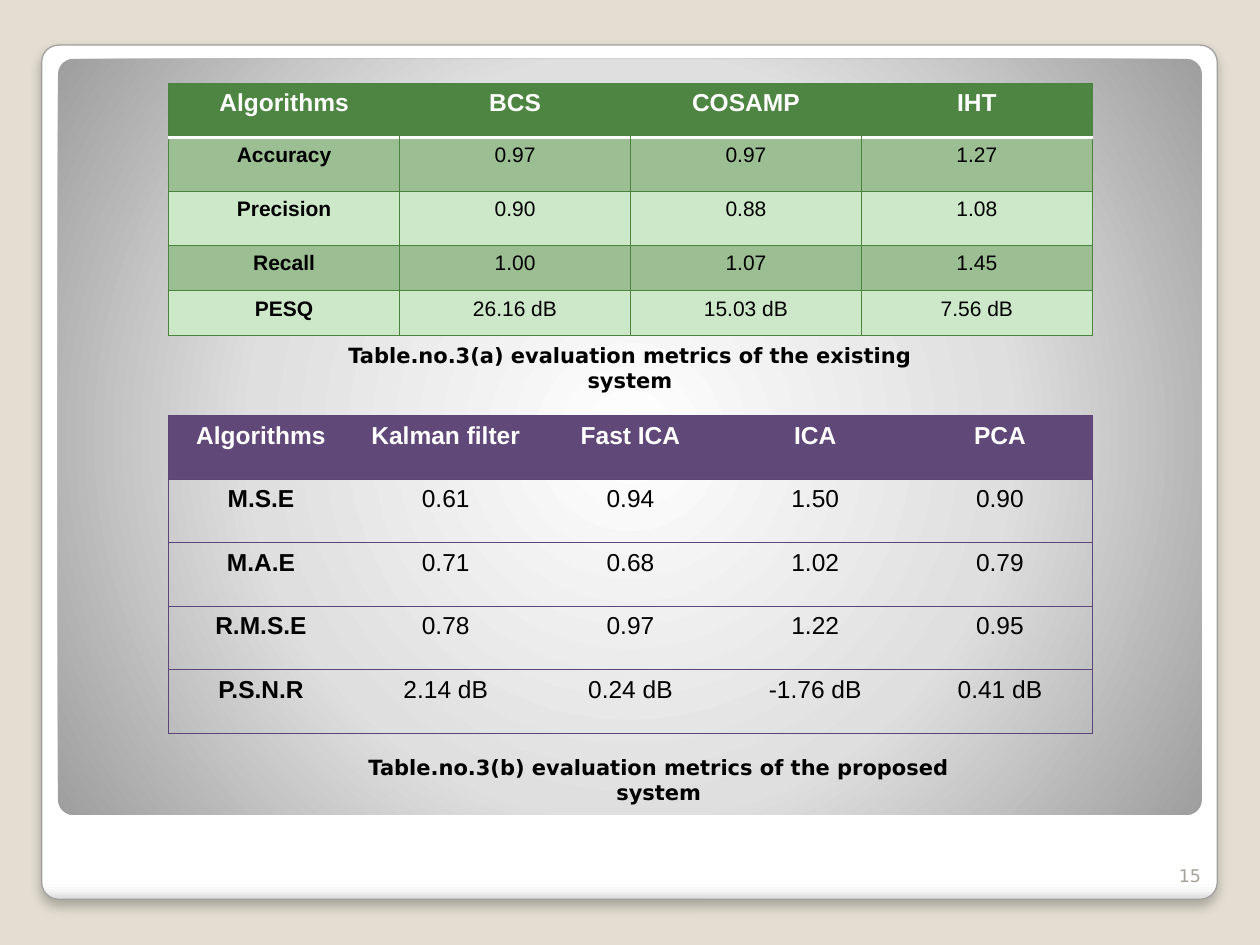
from dataclasses import dataclass
from lxml import etree
from pptx import Presentation
from pptx import util as u
from pptx.dml import color
from pptx.enum import shapes, text
from pptx.oxml import ns


@dataclass(frozen=True)
class Theme:
    back: str = "E3DED1"
    rim: str = "A2A0A0"
    page: str = "A5A298"
    ink: str = "000000"
    white: str = "FFFFFF"
    green: str = "4E8542"
    edge: str = "4B843F"
    dark: str = "9BBE93"
    light: str = "CDE7C9"
    plum: str = "604878"
    rule: str = "5E4577"
    sans: str = "Arial"
    wide: str = "DejaVu Sans"
    head: int = 14
    body: int = 12
    small: int = 10


T = Theme()
PLAIN = "{2D5ABB26-0587-4C30-8999-92F81FD0307C}"  # table style without grid


def rgb(code):
    return color.RGBColor.from_string(code)


def node(xml):
    space = ns.nsdecls("a")
    return etree.fromstring(xml.replace(">", f" {space}>", 1))


def write(frame, words, size, face, tint, bold=False, align=text.PP_ALIGN.CENTER):
    frame.text = words
    para = frame.paragraphs[0]
    para.alignment = align
    font = para.runs[0].font
    font.size, font.name, font.bold = u.Pt(size), face, bold
    font.color.rgb = rgb(tint)


def label(slide, box, words, size, tint, **look):
    item = slide.shapes.add_textbox(*map(u.Cm, box))
    item.text_frame.word_wrap = True
    write(item.text_frame, words, size, T.wide, tint, **look)
    return item


def panel(slide, box, stops, way):
    """Rounded panel filled with a gradient."""
    item = slide.shapes.add_shape(
        shapes.MSO_SHAPE.ROUNDED_RECTANGLE, *map(u.Cm, box))
    item.adjustments[0] = 0.02
    item.shadow.inherit = False
    item.line.fill.background()
    item.fill.background()
    marks = "".join(f'<a:gs pos="{pos * 1000}"><a:srgbClr val="{tint}"/></a:gs>'
                    for pos, tint in stops)
    props = item.element.spPr
    props.replace(props.find(ns.qn("a:noFill")), node(
        f'<a:gradFill rotWithShape="1"><a:gsLst>{marks}</a:gsLst>{way}</a:gradFill>'))
    return item


def frame(slide, box):
    """White card with a soft shadow, and the grey field inside it."""
    left, top, width, height = box
    card = panel(slide, box,
                 [(0, T.white), (98, T.white), (99, "F6F6F6"), (100, "D8D8D8")],
                 '<a:lin ang="5400000" scaled="0"/>')
    card.line.color.rgb = rgb(T.rim)
    card.line.width = u.Pt(0.75)
    card.element.spPr.find(ns.qn("a:effectLst")).append(node(
        f'<a:outerShdw blurRad="{u.Pt(6)}" dist="{u.Pt(4)}" dir="5400000">'
        f'<a:srgbClr val="{T.ink}"><a:alpha val="25000"/></a:srgbClr></a:outerShdw>'))
    panel(slide, (left + 0.33, top + 0.28, width - 0.64, 15.24),
          [(0, T.white), (55, "DFDFDF"), (100, "9E9E9E")],
          '<a:path path="circle">'
          '<a:fillToRect l="50000" t="50000" r="50000" b="50000"/></a:path>')


def border(cell, sides):
    """Draw the sides L, R, T, B, each given as (colour, points) or None."""
    props = cell._tc.get_or_add_tcPr()
    for side, line in zip("LRTB", sides):
        tint, width = line or (None, 0)
        fill = (f'<a:solidFill><a:srgbClr val="{tint}"/></a:solidFill>'
                if line else "<a:noFill/>")
        props.append(node(f'<a:ln{side} w="{u.Pt(width)}">{fill}</a:ln{side}>'))


def grid(slide, box, rows, heights, size, bands, sides):
    """Table with a header row; bands are row fills, sides gives cell borders."""
    left, top, width = box
    count = len(rows[0])
    item = slide.shapes.add_table(
        len(rows), count, *map(u.Cm, (left, top, width, sum(heights))))
    table = item.table
    table.first_row = table.horz_banding = False
    table._tbl.tblPr.find(ns.qn("a:tableStyleId")).text = PLAIN
    for col in table.columns:
        col.width = u.Cm(width / count)
    for r, (row, height) in enumerate(zip(rows, heights)):
        table.rows[r].height = u.Cm(height)
        for c, words in enumerate(row):
            cell = table.cell(r, c)
            write(cell.text_frame, words, size if r else T.head, T.sans,
                  T.ink if r else T.white, bold=r == 0 or c == 0)
            border(cell, sides(r, c, count - 1))
            if bands[r]:
                cell.fill.solid()
                cell.fill.fore_color.rgb = rgb(bands[r])
            else:
                cell.fill.background()


def known(slide, box):
    """Green table of the existing system, fully ruled."""
    rows = [
        ("Algorithms", "BCS", "COSAMP", "IHT"),
        ("Accuracy", "0.97", "0.97", "1.27"),
        ("Precision", "0.90", "0.88", "1.08"),
        ("Recall", "1.00", "1.07", "1.45"),
        ("PESQ", "26.16 dB", "15.03 dB", "7.56 dB"),
    ]
    line, gap = (T.edge, 0.75), (T.white, 2)

    def sides(r, c, last):
        return (line if r or c == 0 else None, line if r or c == last else None,
                gap if r == 1 else line, line if r else gap)

    grid(slide, box, rows, [1.09] * 3 + [0.91] * 2, T.body,
         [T.green] + [T.dark, T.light] * 2, sides)
    left, top, _ = box
    label(slide, (left + 2.95, top + 5.1, 12.7, 1.27),
          "Table.no.3(a) evaluation metrics of the existing system",
          T.body, T.ink, bold=True)


def fresh(slide, box):
    """Purple table of the proposed system, ruled between rows only."""
    rows = [
        ("Algorithms", "Kalman filter", "Fast ICA", "ICA", "PCA"),
        ("M.S.E", "0.61", "0.94", "1.50", "0.90"),
        ("M.A.E", "0.71", "0.68", "1.02", "0.79"),
        ("R.M.S.E", "0.78", "0.97", "1.22", "0.95"),
        ("P.S.N.R", "2.14 dB", "0.24 dB", "-1.76 dB", "0.41 dB"),
    ]
    line = (T.rule, 0.75)

    def sides(r, c, last):
        return line if c == 0 else None, line if c == last else None, line, line

    grid(slide, box, rows, [1.28] * 5, T.head, [T.plum] + [None] * 4, sides)
    left, top, _ = box
    label(slide, (left + 3.53, top + 6.71, 12.7, 1.27),
          "Table.no.3(b) evaluation metrics of the proposed system",
          T.body, T.ink, bold=True)


def main():
    deck = Presentation()
    deck.slide_width, deck.slide_height = u.Cm(25.4), u.Cm(19.05)
    slide = deck.slides.add_slide(deck.slide_layouts[6])
    slide.background.fill.solid()
    slide.background.fill.fore_color.rgb = rgb(T.back)

    frame(slide, (0.84, 0.91, 23.7, 17.22))
    known(slide, (3.4, 1.68, 18.62))
    fresh(slide, (3.4, 8.38, 18.62))

    # Page number
    page = label(slide, (23.19, 16.97, 1.27, 1.02), "15", T.small, T.page,
                 align=text.PP_ALIGN.RIGHT)
    page.text_frame.vertical_anchor = text.MSO_ANCHOR.BOTTOM
    deck.save("out.pptx")


if __name__ == "__main__":
    main()
